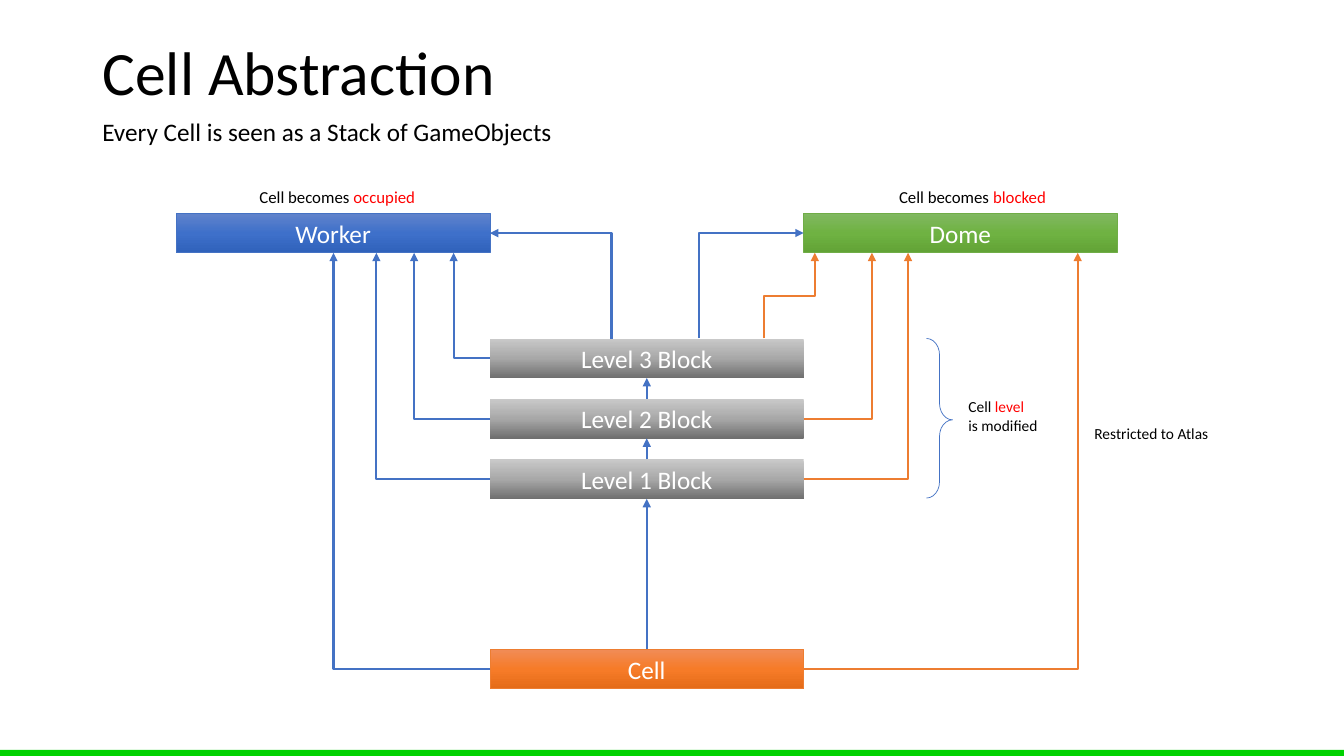
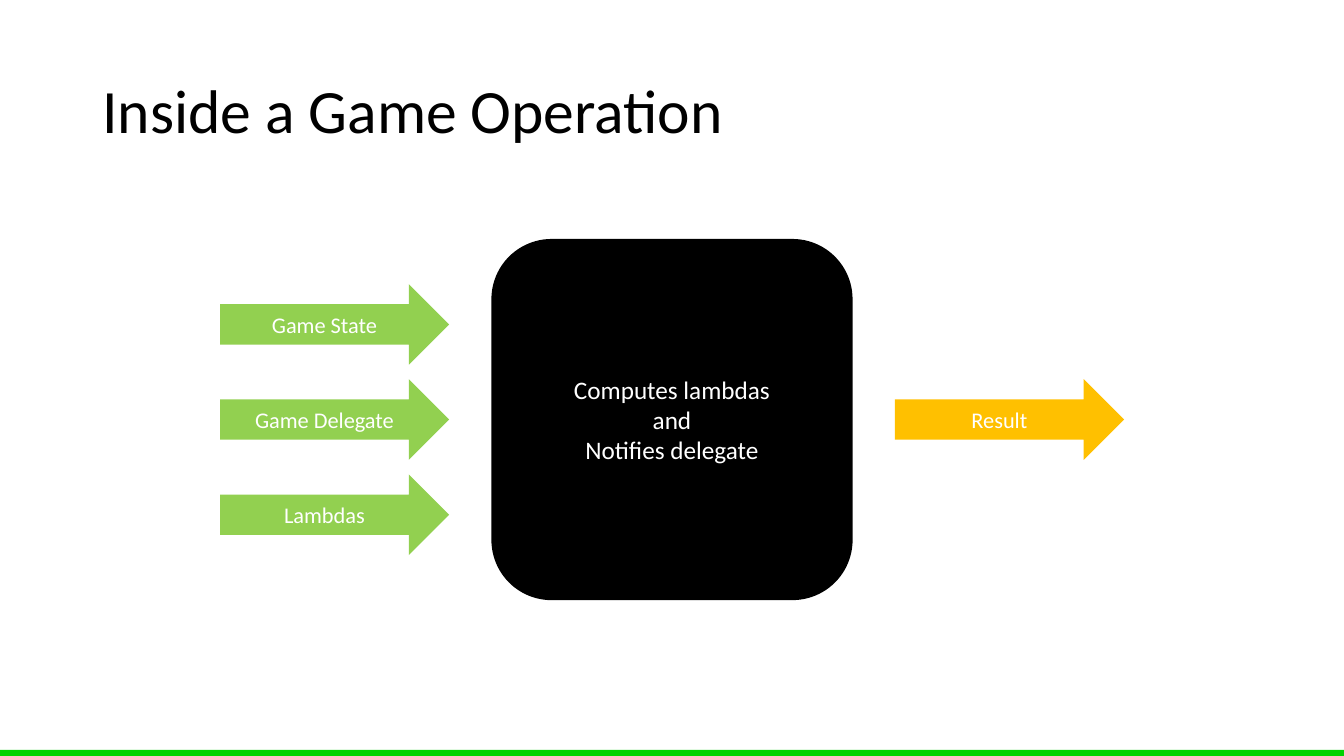
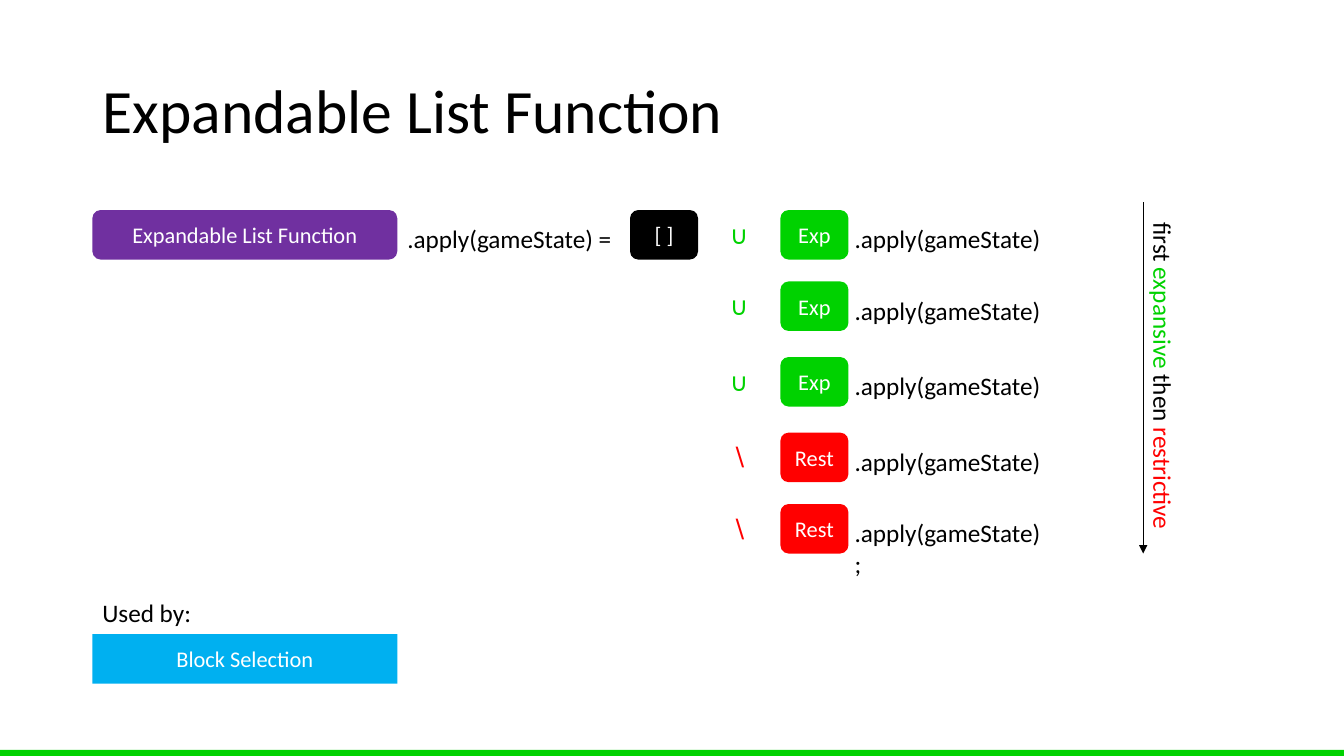
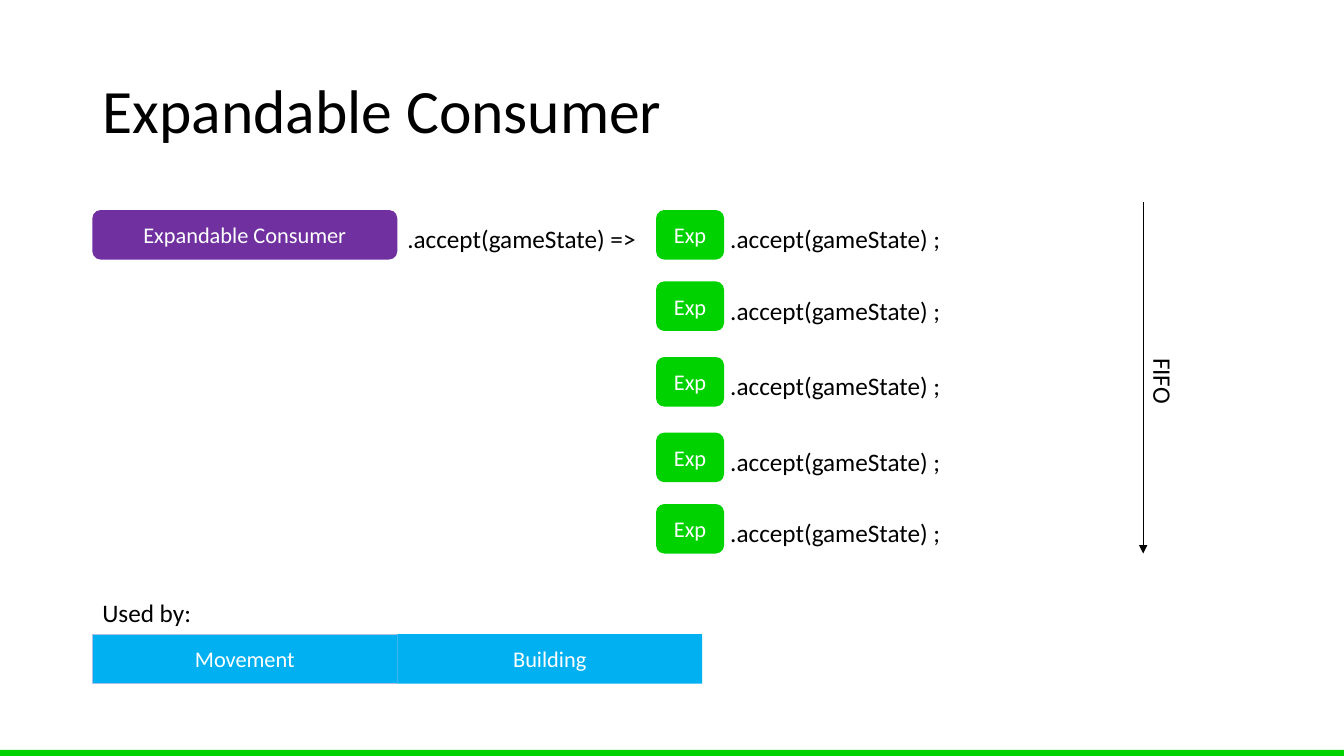
"""Builds four slides on a board game's cells and operations, on a grid of 160 columns by 90 rows."""
import copy
import dataclasses
import math

import pptx
import pptx.dml.color
import pptx.enum.shapes
import pptx.enum.text
import pptx.oxml
import pptx.oxml.ns
import pptx.util


@dataclasses.dataclass(frozen=True)
class Theme:
    font: str = "Calibri"
    head: int = 44
    body: int = 18
    chip: int = 16
    note: int = 12
    tiny: int = 11
    black: str = "000000"
    white: str = "FFFFFF"
    green: str = "00D200"
    red: str = "FF0000"
    blue: str = "4472C4"
    orange: str = "ED7D31"
    leaf: str = "70AD47"
    lime: str = "92D050"
    gold: str = "FFC000"
    purple: str = "7030A0"
    sky: str = "00B0F0"
    pale: str = "ABC0E4"
    greys: tuple = ("C9C9C9", "A8A8A8", "6F6F6F")
    blues: tuple = ("6183CB", "3E70CA", "3062BB")
    leaves: tuple = ("81B861", "6FB242", "62A336")
    flames: tuple = ("F18C57", "F67B28", "E56C19")


theme = Theme()
FORM = pptx.enum.shapes.MSO_SHAPE
ALIGN = pptx.enum.text.PP_ALIGN
MIDDLE = pptx.enum.text.MSO_ANCHOR.MIDDLE
FIT = pptx.enum.text.MSO_AUTO_SIZE
RGB = pptx.dml.color.RGBColor.from_string
qn = pptx.oxml.ns.qn

deck = pptx.Presentation()
deck.slide_width = pptx.util.Inches(13.333)
deck.slide_height = pptx.util.Inches(7.5)
COLS, ROWS = 160, 90
unit = deck.slide_height / ROWS


def put(sheet, box, text="", size=theme.body, hue=theme.black, form=None, fill=None, edge=None, tints=(), turn=0):
    spot = [round(unit * n) for n in box]
    if form is None:
        item = sheet.shapes.add_textbox(*spot)
    else:
        item = sheet.shapes.add_shape(form, *spot)
        item.shadow.inherit = False
        if isinstance(fill, tuple):
            item.fill.gradient()
            item.fill.gradient_angle = 270
            stops = item.element.spPr.find(".//" + qn("a:gsLst"))
            stops.insert(1, copy.deepcopy(stops[0]))
            for stop, tone, place in zip(item.fill.gradient_stops, fill, (0, 0.5, 1)):
                stop.color.rgb = RGB(tone)
                stop.position = place
        elif fill:
            item.fill.solid()
            item.fill.fore_color.rgb = RGB(fill)
        else:
            item.fill.background()
        if edge:
            item.line.color.rgb = RGB(edge[0])
            item.line.width = pptx.util.Pt(edge[1])
        else:
            item.line.fill.background()
    item.rotation = turn
    if text:
        frame = item.text_frame
        frame.word_wrap = form is not None
        frame.auto_size = FIT.NONE if form else FIT.SHAPE_TO_FIT_TEXT
        if form:
            frame.vertical_anchor = MIDDLE
        shades = iter(tints)
        for row, line in enumerate(text.split("\n")):
            para = frame.add_paragraph() if row else frame.paragraphs[0]
            para.alignment = ALIGN.CENTER if form else ALIGN.LEFT
            for step, piece in enumerate(line.split("|")):
                if piece:
                    run = para.add_run()
                    run.text = piece
                    run.font.name = theme.font
                    run.font.size = pptx.util.Pt(size)
                    run.font.color.rgb = RGB(next(shades) if step % 2 else hue)
    return item


def wire(sheet, start, end, hue, width=1.5, form="line", turn=0, source=None, target=None):
    mid = [(a + b) / 2 for a, b in zip(start, end)]
    cos, sin = math.cos(math.radians(turn)), math.sin(math.radians(turn))
    ends = []
    for x, y in (start, end):
        dx, dy = x - mid[0], y - mid[1]
        ends += [mid[0] + dx * cos + dy * sin, mid[1] - dx * sin + dy * cos]
    link = sheet.shapes.add_connector(pptx.enum.shapes.MSO_CONNECTOR.STRAIGHT, *[round(unit * n) for n in ends])
    link.rotation = turn
    link.line.color.rgb = RGB(hue)
    link.line.width = pptx.util.Pt(width)
    props = link.element.spPr
    props.find(qn("a:prstGeom")).set("prst", form)
    tip = pptx.oxml.parse_xml('<a:tailEnd %s type="triangle"/>' % pptx.oxml.ns.nsdecls("a"))
    props.find(qn("a:ln")).append(tip)
    props.append(pptx.oxml.parse_xml("<a:effectLst %s/>" % pptx.oxml.ns.nsdecls("a")))
    joints = link.element.nvCxnSpPr.cNvCxnSpPr
    if source:
        joint = joints.get_or_add_stCxn()
        joint.id, joint.idx = source[0].shape_id, source[1]
    if target:
        joint = joints.get_or_add_endCxn()
        joint.id, joint.idx = target[0].shape_id, target[1]


EDGE = 11
sheets = []
for name, top in (
    ("Cell Abstraction", 0.25),
    ("Inside a Game Operation", 4.8),
    ("Expandable List Function", 4.8),
    ("Expandable Consumer", 4.8),
):
    sheet = deck.slides.add_slide(deck.slide_layouts[5])
    title = sheet.shapes.title
    title.left, title.top, title.width, title.height = [round(unit * n) for n in (EDGE, top, COLS - 2 * EDGE, 17.4)]
    frame = title.text_frame
    frame.text = name
    frame.word_wrap = True
    frame.auto_size = FIT.NONE
    frame.vertical_anchor = MIDDLE
    para = frame.paragraphs[0]
    para.alignment = ALIGN.LEFT
    para.line_spacing = 0.9
    face = para.runs[0].font
    face.name = theme.font
    face.size = pptx.util.Pt(theme.head)
    face.color.rgb = RGB(theme.black)
    put(sheet, (0, 89.28, COLS, 0.72), form=FORM.RECTANGLE, fill=theme.green)
    sheets.append(sheet)
cells, inside, lists, feeds = sheets

lead = put(cells, (EDGE, 13.7, 67.2, 4.7), "Every Cell is seen as a Stack of GameObjects")
lead.text_frame.paragraphs[0].line_spacing = 0.9

WIDE, HIGH = 37.33, 4.7
LEFT, MID, RIGHT = [21 + WIDE * n for n in range(3)]
TOP, STACK, STEP, BASE = 25.4, 40.3, 7.2, 77.3
boxes, tops = {}, {}
for name, x, y, fill, edge in (
    ("Level 1 Block", MID, STACK + 2 * STEP, theme.greys, None),
    ("Level 2 Block", MID, STACK + STEP, theme.greys, None),
    ("Level 3 Block", MID, STACK, theme.greys, None),
    ("Worker", LEFT, TOP, theme.blues, (theme.blue, 0.5)),
    ("Dome", RIGHT, TOP, theme.leaves, (theme.leaf, 0.5)),
    ("Cell", MID, BASE, theme.flames, (theme.orange, 0.5)),
):
    boxes[name] = put(cells, (x, y, WIDE, HIGH), name, theme.body, theme.white, FORM.RECTANGLE, fill, edge)
    tops[name] = y

tower = ("Cell", "Level 1 Block", "Level 2 Block", "Level 3 Block")
heart = MID + WIDE / 2
for low, high in zip(tower, tower[1:]):
    wire(cells, (heart, tops[low]), (heart, tops[high] + HIGH), theme.blue,
         source=(boxes[low], 0), target=(boxes[high], 2))

FLOOR = TOP + HIGH
for name, x in zip(tower, (39.7, 44.8, 49.3, 54)):
    wire(cells, (MID, tops[name] + HIGH / 2), (x, FLOOR), theme.blue,
         form="bentConnector2", turn=180, source=(boxes[name], 1))
for name, x in zip(tower, (128.3, 108.1, 103.8)):
    wire(cells, (RIGHT, tops[name] + HIGH / 2), (x, FLOOR), theme.orange,
         form="bentConnector2", source=(boxes[name], 3))
for x, goal, name, site in ((72.8, MID, "Worker", 3), (83.25, RIGHT, "Dome", 1)):
    wire(cells, (x, STACK), (goal, TOP + HIGH / 2), theme.blue,
         form="bentConnector2", turn=90, target=(boxes[name], site))
wire(cells, (91, STACK), (97, FLOOR), theme.orange, form="bentConnector3", turn=90)

brace = put(cells, (110.3, STACK, 3.1, 19), form=FORM.RIGHT_BRACE, edge=(theme.blue, 0.5))
brace.adjustments[0], brace.adjustments[1] = 0.63, 0.51
for box, text, size in (
    ((129.1, 49.9, 16.2, 3.5), "Restricted to Atlas", theme.tiny),
    ((29.7, 21.7, 21.2, 3.6), "Cell becomes |occupied", theme.note),
    ((105.85, 21.7, 20.2, 3.6), "Cell becomes |blocked", theme.note),
    ((114.1, 46.7, 10.7, 5.6), "Cell |level|\nis modified", theme.tiny),
):
    put(cells, box, text, size, tints=(theme.red,))

CORE, LONG, TALL, GAP, HUB = 43, 27.27, 9.6, 11.33, 49.95
put(inside, ((COLS - CORE) / 2, HUB - CORE / 2, CORE, CORE), "Computes lambdas\nand\nNotifies delegate",
    theme.body, theme.white, FORM.ROUNDED_RECTANGLE, theme.black)
for name, x, row, fill in (
    ("Game State", 26.2, -1, theme.lime),
    ("Game Delegate", 26.2, 0, theme.lime),
    ("Lambdas", 26.2, 1, theme.lime),
    ("Result", 106.55, 0, theme.gold),
):
    put(inside, (x, HUB - TALL / 2 + GAP * row, LONG, TALL), name, theme.chip, theme.white, FORM.RIGHT_ARROW, fill)

BAR, CHIP, THICK, LINE = 36.3, 8.1, 5.9, 4.8
rows = (25, 33.5, 42.5, 51.5, 60)
AXIS, SIDE = 136.1, 138.5
grow = ("Exp", theme.green, "∪")
trim = ("Rest", theme.red, "∖")
for sheet, name, call, span, x, kinds, ends, uses, hint, length in (
    (lists, "Expandable List Function", ".apply(gameState)", 27.7, 92.9, (grow,) * 3 + (trim,) * 2,
     ("",) * 4 + (" ;",), (("Block Selection", None),), "first |expansive| then |restrictive", 40.2),
    (feeds, "Expandable Consumer", ".accept(gameState)", 30.6, 78.1, (grow,) * 5,
     (" ;",) * 5, (("Movement", (theme.pale, 1)), ("Building", None)), "FIFO", 7.9),
):
    put(sheet, (EDGE, rows[0], BAR, THICK), name, theme.chip, theme.white, FORM.ROUNDED_RECTANGLE, theme.purple)
    sign = " =" if sheet is lists else " =>"
    put(sheet, (EDGE + BAR, rows[0] + 1.05, span, LINE), call + sign)
    if sheet is lists:
        put(sheet, (75, rows[0], CHIP, THICK), "[ ]", theme.chip, theme.white, FORM.ROUNDED_RECTANGLE, theme.black)
    for y, (label, hue, mark), end in zip(rows, kinds, ends):
        put(sheet, (x, y, CHIP, THICK), label, theme.chip, theme.white, FORM.ROUNDED_RECTANGLE, hue)
        put(sheet, (x + 7.65, y + 1.05, 24.8 if sheet is lists and not end else span - 2.2, LINE), call + end)
        if sheet is lists:
            sign = put(sheet, (85.7, y + 0.5, 4.5, LINE), mark, theme.body, hue)
            sign.text_frame.paragraphs[0].alignment = ALIGN.CENTER
    put(sheet, (EDGE, 70.55, 13.1, LINE), "Used by:")
    for col, (use, edge) in enumerate(uses):
        put(sheet, (EDGE + BAR * col, 75.5, BAR, THICK), use, theme.chip, theme.white, FORM.RECTANGLE, theme.sky, edge)
    wire(sheet, (AXIS, 24.1), (AXIS, 65.9), theme.black, 0.5)
    put(sheet, (SIDE - length / 2, 43, length, LINE), hint, tints=(theme.green, theme.red), turn=90)

deck.save("out.pptx")
